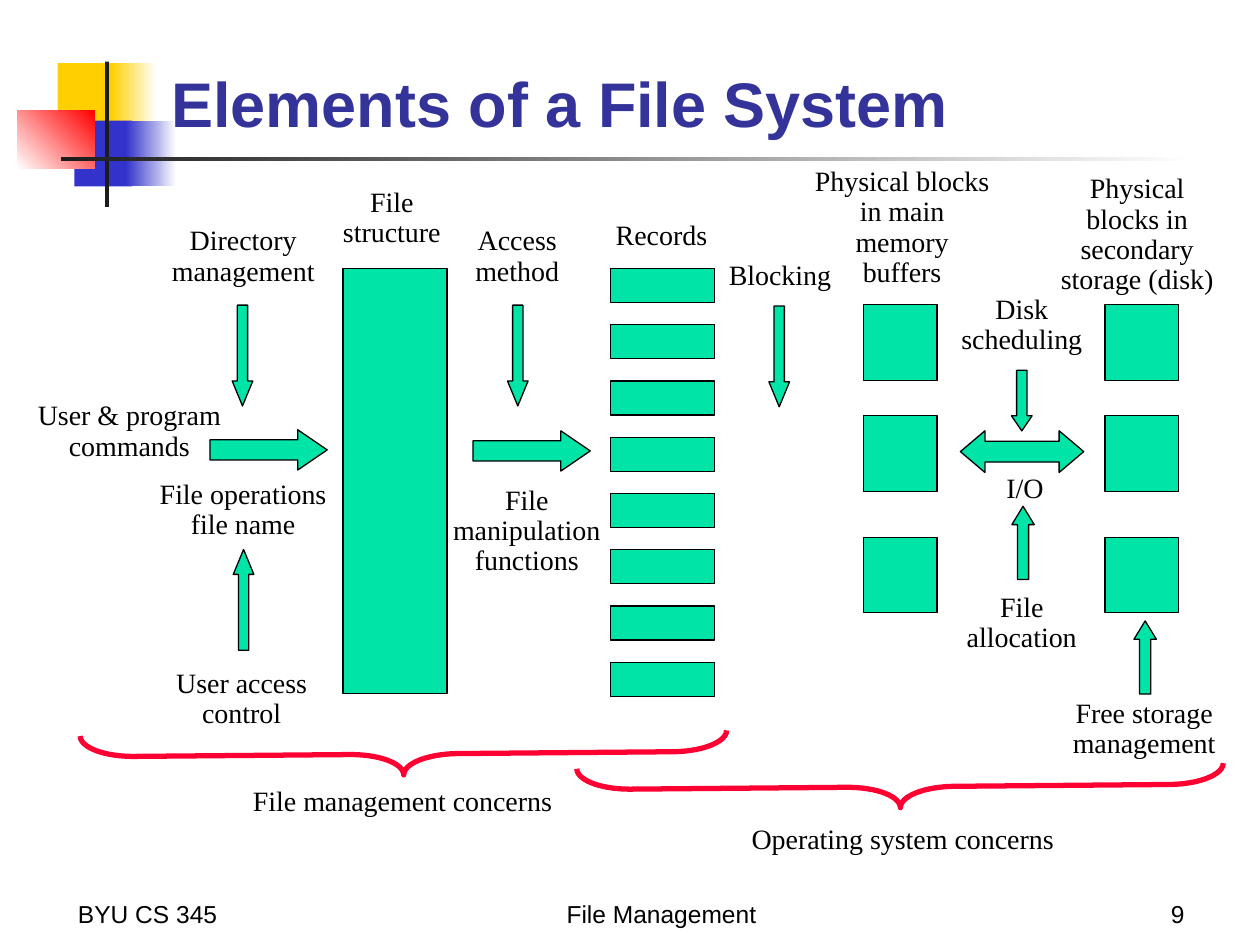
import pptx
import pptx.util
import pptx.dml.color
import pptx.enum.shapes
import pptx.enum.text

Pt = pptx.util.Pt
KIND = pptx.enum.shapes.MSO_SHAPE
ALIGN = pptx.enum.text.PP_ALIGN
ANCHOR = pptx.enum.text.MSO_ANCHOR
SIZE = pptx.enum.text.MSO_AUTO_SIZE

GREEN, BLACK, WHITE, RED = "00E4A8", "000000", "FFFFFF", "FF0033"
LABEL = {"size": Pt(16), "name": "Times New Roman"}
FOOT = {"size": Pt(14), "name": "Arial"}
TITLE = {"size": Pt(36), "name": "Arial", "bold": True}


def paint(color, code):
    color.rgb = pptx.dml.color.RGBColor.from_string(code)


def apply(target, form):
    for key, value in form.items():
        setattr(target, key, value)


def add_form(slide, kind, box, fill=None, line=None, width=0.75, adj=(), turn=0):
    """Draw a preset shape; a pair of fill colours makes a gradient."""
    form = slide.shapes.add_shape(kind, *map(Pt, box))
    form.shadow.inherit = False
    form.rotation = turn
    for i, value in enumerate(adj):
        form.adjustments[i] = value
    if fill is None:
        form.fill.background()
    elif isinstance(fill, str):
        form.fill.solid()
        paint(form.fill.fore_color, fill)
    else:
        form.fill.gradient()
        form.fill.gradient_angle = 0
        for stop, code in zip(form.fill.gradient_stops, fill):
            paint(stop.color, code)
    if line:
        paint(form.line.color, line)
        form.line.width = Pt(width)
    else:
        form.line.fill.background()
    return form


def write(frame, text, font, align, code=BLACK, space=None, **form):
    """Fill a text frame, one paragraph for each line."""
    frame.text = text
    apply(frame, {"word_wrap": True, **form})
    for para in frame.paragraphs:
        apply(para, {"alignment": align, "line_spacing": space})
        for run in para.runs:
            apply(run.font, font)
            paint(run.font.color, code)


def add_text(slide, box, *args, **form):
    frame = slide.shapes.add_textbox(*map(Pt, box)).text_frame
    write(frame, *args, **form)


def add_decor(slide):
    for box, fill in (
        ((33, 36, 34.5, 37.5), "FFCF01"),
        ((63.5, 36, 26, 37.5), ("FFCF01", WHITE)),
        ((42.5, 69, 33, 37.5), "3333CC"),
        ((72, 69, 28.8, 37.5), ("3333CC", WHITE)),
    ):
        add_form(slide, KIND.RECTANGLE, box, fill)
    red = add_form(slide, KIND.RECTANGLE, (10, 63, 44, 33.5), (WHITE, "FF0000"))
    red.fill.gradient_angle = 45
    add_form(slide, KIND.RECTANGLE, (60, 35.3, 2.3, 83), "1C1C1C")
    add_form(slide, KIND.RECTANGLE, (34.6, 89.5, 648, 2.3), ("1C1C1C", WHITE))


def add_title(slide, text):
    title = slide.shapes.title
    box = (90.7, 15.1, 613.4, 68.4)
    apply(title, dict(zip(("left", "top", "width", "height"), map(Pt, box))))
    write(title.text_frame, text, TITLE, ALIGN.LEFT, "333399",
          vertical_anchor=ANCHOR.BOTTOM, auto_size=SIZE.NONE)
    slide.shapes._spTree.append(title._element)  # above the decor


def add_foot(slide):
    for left, width, text, align in (
        (37.5, 150, "BYU CS 345", ALIGN.LEFT),
        (264, 228, "File Management", ALIGN.CENTER),
        (534, 150, "9", ALIGN.RIGHT),
    ):
        add_text(slide, (left, 498, width, 36), text, FOOT, align,
                 vertical_anchor=ANCHOR.BOTTOM)


def add_labels(slide):
    for left, top, width, rows, text in (
        (9.4, 226, 129, 2, "User & program\ncommands"),
        (78.5, 126, 121, 2, "Directory management"),
        (87.1, 379, 102, 2, "User access control"),
        (82.8, 270.7, 112.3, 2, "File operations\nfile name"),
        (181.4, 103.9, 85, 2, "File structure"),
        (252.7, 126, 85.7, 2, "Access method"),
        (247.7, 274.3, 106.6, 3, "File manipulation functions"),
        (334.8, 123, 86.4, 1, "Records"),
        (128.9, 446.4, 202.3, 1, "File management concerns"),
        (406.8, 145.6, 77.8, 1, "Blocking"),
        (457.9, 92.2, 115.2, 4, "Physical blocks in main memory buffers"),
        (597.6, 96.3, 104.4, 4, "Physical blocks in secondary storage (disk)"),
        (536.4, 165.4, 95, 2, "Disk scheduling"),
        (560.2, 267.3, 51.1, 1, "I/O"),
        (540.7, 335.5, 86.4, 2, "File allocation"),
        (599.8, 396, 108, 2, "Free storage management"),
        (414.7, 468, 202.3, 1, "Operating system concerns"),
    ):
        add_text(slide, (left, top, width, 7 + 17.5 * rows), text, LABEL,
                 ALIGN.CENTER, space=0.9, auto_size=SIZE.SHAPE_TO_FIT_TEXT)


def add_blocks(slide):
    boxes = [(196, 153.4, 59.5, 243)]  # file structure
    boxes += [(349, 153.4 + 32.15 * i, 59.5, 19.5) for i in range(8)]  # records
    boxes += [(left, top, 41.8, 43.2)  # memory and disk
              for left in (493.6, 631.5) for top in (174.2, 237.6, 307)]
    for box in boxes:
        add_form(slide, KIND.RECTANGLE, box, GREEN, BLACK)


def add_arrows(slide):
    down, up, right = KIND.DOWN_ARROW, KIND.UP_ARROW, KIND.RIGHT_ARROW
    long, short, flow = (11.8, 57.6, 1.21), (12.8, 41.8, 0.82), (67, 23, 0.73)
    for kind, left, top, (width, height, head) in (
        (down, 132.7, 174.4, long),
        (down, 290, 174.4, long),
        (down, 439.4, 174.9, long),
        (up, 133.3, 314, long),
        (up, 578.2, 289.3, short),
        (up, 648, 354.8, short),
        (down, 578, 211.6, (11.8, 34.6, 0.73)),
        (right, 120, 245.6, flow),
        (right, 270.3, 246.2, flow),
        (KIND.LEFT_RIGHT_ARROW, 548.8, 246.2, (70.5, 23.8, 0.59)),
    ):
        add_form(slide, kind, (left, top, width, height), GREEN, BLACK,
                 adj=(0.5, head))


def add_braces(slide):
    for left, top in ((218.7, 246.2), (502.5, 264.9)):
        add_form(slide, KIND.LEFT_BRACE, (left, top, 23.8, 369.4), line=RED,
                 width=3, adj=(1.3, 0.5), turn=269.5)


def main():
    deck = pptx.Presentation()
    apply(deck, {"slide_width": Pt(720), "slide_height": Pt(540)})
    slide = deck.slides.add_slide(deck.slide_layouts[5])
    # Frame of the slide
    add_decor(slide)
    add_title(slide, "Elements of a File System")
    add_foot(slide)
    # Diagram
    add_labels(slide)
    add_blocks(slide)
    add_arrows(slide)
    add_braces(slide)
    deck.save("out.pptx")


main()
